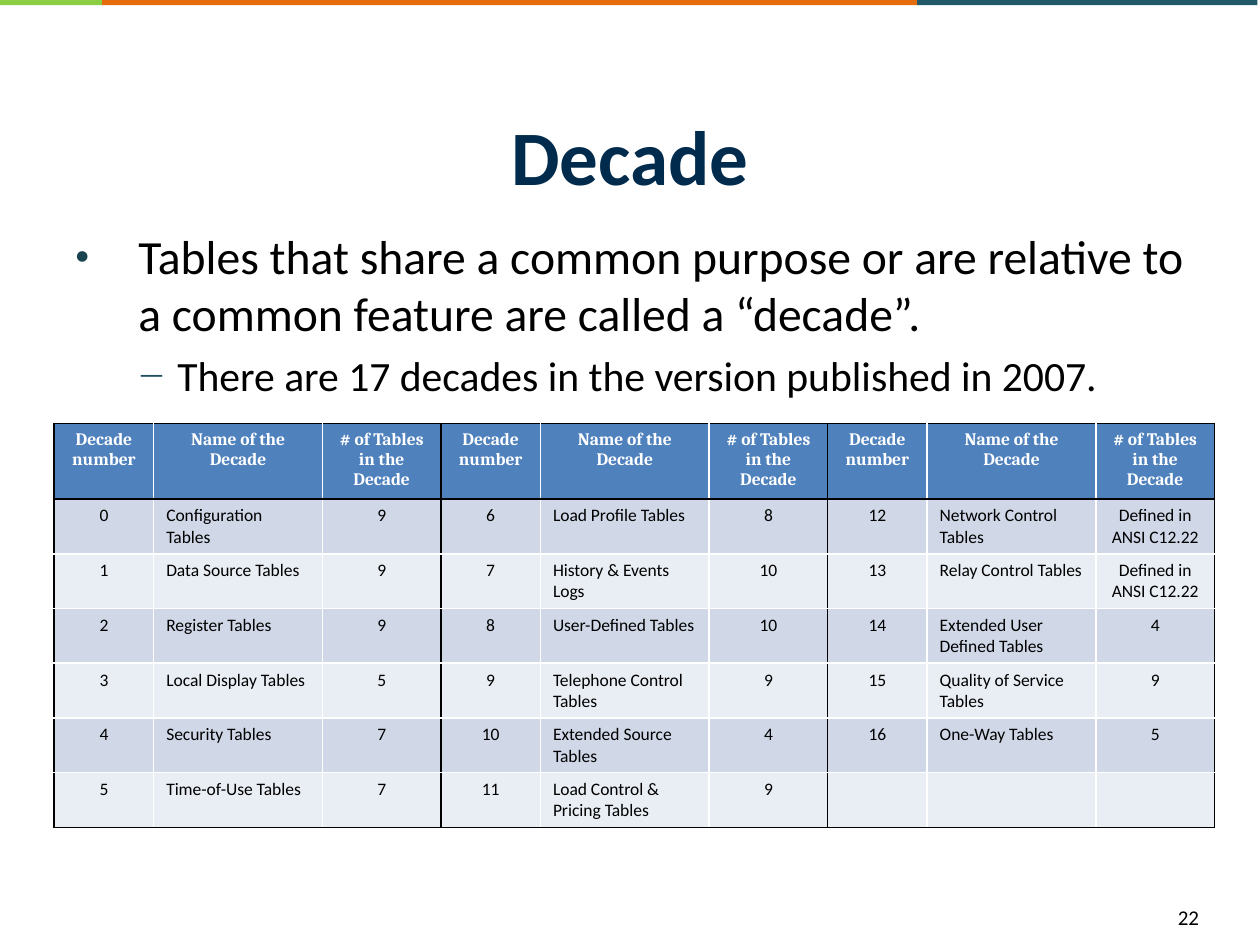
from lxml.etree import SubElement
from pptx import Presentation
from pptx.dml.color import RGBColor
from pptx.enum.shapes import MSO_SHAPE as Shape
from pptx.enum.text import MSO_ANCHOR as Anchor, PP_ALIGN as Align
from pptx.oxml.ns import qn
from pptx.util import Inches, Pt

# Content
TITLE = "Decade"
POINTS = [  # text, size, left margin, hanging indent, bullet, its colour and percent
    ("Tables that share a common purpose or are relative to a common feature "
     "are called a “decade”.", 27.2, 0.5, 0.5, "●", "19434F", 48),
    ("There are 17 decades in the version published in 2007.",
     23.8, 0.81, 0.31, "—", "1D4F5D", 70),
]
HEADINGS = ["Decade number", "Name of the Decade", "# of Tables in the Decade"]
DECADES = [  # name, number of tables; the decade number is the position
    ("Configuration Tables", "9"), ("Data Source Tables", "9"),
    ("Register Tables", "9"), ("Local Display Tables", "5"),
    ("Security Tables", "7"), ("Time-of-Use Tables", "7"),
    ("Load Profile Tables", "8"), ("History & Events Logs", "10"),
    ("User-Defined Tables", "10"), ("Telephone Control Tables", "9"),
    ("Extended Source Tables", "4"), ("Load Control & Pricing Tables", "9"),
    ("Network Control Tables", "Defined in ANSI C12.22"),
    ("Relay Control Tables", "Defined in ANSI C12.22"),
    ("Extended User Defined Tables", "4"), ("Quality of Service Tables", "9"),
    ("One-Way Tables", "5"),
]
PAGE = "22"
BANDS = [(0.8, 6.48, "E46C0A"), (7.28, 2.7, "215968"), (-0.05, 0.86, "8BCD43")]

# Table grid: three groups of three columns, a header and six rows
GROUPS, PER_GROUP = 3, 6
GROUP_WIDTHS = [0.79, 1.34, 0.94]
ROW_HEIGHT = 0.41
HEADER_FILL, ROW_FILLS = "4F81BD", ["D0D8E8", "E9EDF4"]
BLACK, WHITE = "000000", "FFFFFF"


def rgb(value):
    return RGBColor.from_string(value)


def write(paragraph, text, size, color=BLACK, font="Calibri", bold=False, align=Align.LEFT):
    paragraph.alignment = align
    run = paragraph.add_run()
    run.text = text
    run.font.size, run.font.name, run.font.bold = Pt(size), font, bold
    run.font.color.rgb = rgb(color)


def add_bullet(paragraph, char, color, percent, margin, hanging):
    props = paragraph._p.get_or_add_pPr()
    props.set("marL", str(Inches(margin)))
    props.set("indent", str(-Inches(hanging)))
    SubElement(SubElement(props, qn("a:buClr")), qn("a:srgbClr"), val=color)
    SubElement(props, qn("a:buSzPct"), val=str(percent * 1000))
    SubElement(props, qn("a:buFont"), typeface="Calibri")
    SubElement(props, qn("a:buChar"), char=char)


def add_borders(cell, **colors):
    props = cell._tc.get_or_add_tcPr()
    for side in "LRTB":
        line = SubElement(props, qn("a:ln" + side), w=str(Pt(1)))
        fill = SubElement(line, qn("a:solidFill"))
        SubElement(fill, qn("a:srgbClr"), val=colors[side])


def add_text_box(slide, *box):
    frame = slide.shapes.add_textbox(*map(Inches, box)).text_frame
    frame.word_wrap = True
    return frame


def cell_text(row, col):
    group, part = divmod(col, len(HEADINGS))
    if row == 0:
        return HEADINGS[part]
    number = group * PER_GROUP + row - 1
    if number >= len(DECADES):
        return ""
    return (str(number), *DECADES[number])[part]


def add_decade_table(slide):
    widths = GROUP_WIDTHS * GROUPS
    rows, parts = PER_GROUP + 1, len(HEADINGS)
    table = slide.shapes.add_table(
        rows, len(widths), Inches(0.43), Inches(3.36),
        Inches(sum(widths)), Inches(ROW_HEIGHT * rows)).table
    for column, width in zip(table.columns, widths):
        column.width = Inches(width)
    for row in range(rows):
        table.rows[row].height = Inches(ROW_HEIGHT)
        for col in range(len(widths)):
            cell, part = table.cell(row, col), col % parts
            # Black frames each group and the header, white divides the rest
            black_sides = {"L": part == 0, "R": part == parts - 1,
                           "T": row < 2, "B": row in (0, rows - 1)}
            add_borders(cell, **{side: BLACK if black else WHITE
                                 for side, black in black_sides.items()})
            cell.fill.solid()
            cell.fill.fore_color.rgb = rgb(ROW_FILLS[(row - 1) % 2] if row else HEADER_FILL)
            text, paragraph = cell_text(row, col), cell.text_frame.paragraphs[0]
            if row == 0:
                write(paragraph, text, 10, WHITE, "Cambria", True, Align.CENTER)
            elif text:
                write(paragraph, text, 10, align=Align.LEFT if part == 1 else Align.CENTER)


def main():
    deck = Presentation()
    deck.slide_width, deck.slide_height = Inches(10), Inches(7.5)
    slide = deck.slides.add_slide(deck.slide_layouts[5])

    # Colour bands along the top edge
    for left, width, color in BANDS:
        band = slide.shapes.add_shape(
            Shape.RECTANGLE, Inches(left), Inches(-0.01), Inches(width), Inches(0.05))
        band.shadow.inherit = False
        band.fill.solid()
        band.fill.fore_color.rgb = rgb(color)
        band.line.fill.background()

    # Title
    title = slide.shapes.title
    title.left, title.top, title.width, title.height = map(Inches, (0.5, 0.68, 9, 1.1))
    title.text_frame.vertical_anchor = Anchor.MIDDLE
    write(title.text_frame.paragraphs[0], TITLE, 44, "002B4C", bold=True, align=Align.CENTER)

    # Bulleted points
    body = add_text_box(slide, 0.5, 1.75, 9, 1.45)
    for index, (text, size, margin, hanging, char, color, percent) in enumerate(POINTS):
        paragraph = body.add_paragraph() if index else body.paragraphs[0]
        add_bullet(paragraph, char, color, percent, margin, hanging)
        if index:
            paragraph.level = index
            paragraph.space_before = Pt(5)
        write(paragraph, text, size)

    add_decade_table(slide)

    # Page number
    write(add_text_box(slide, 9.25, 7.13, 0.64, 0.4).paragraphs[0], PAGE, 12)
    deck.save("out.pptx")


if __name__ == "__main__":
    main()
